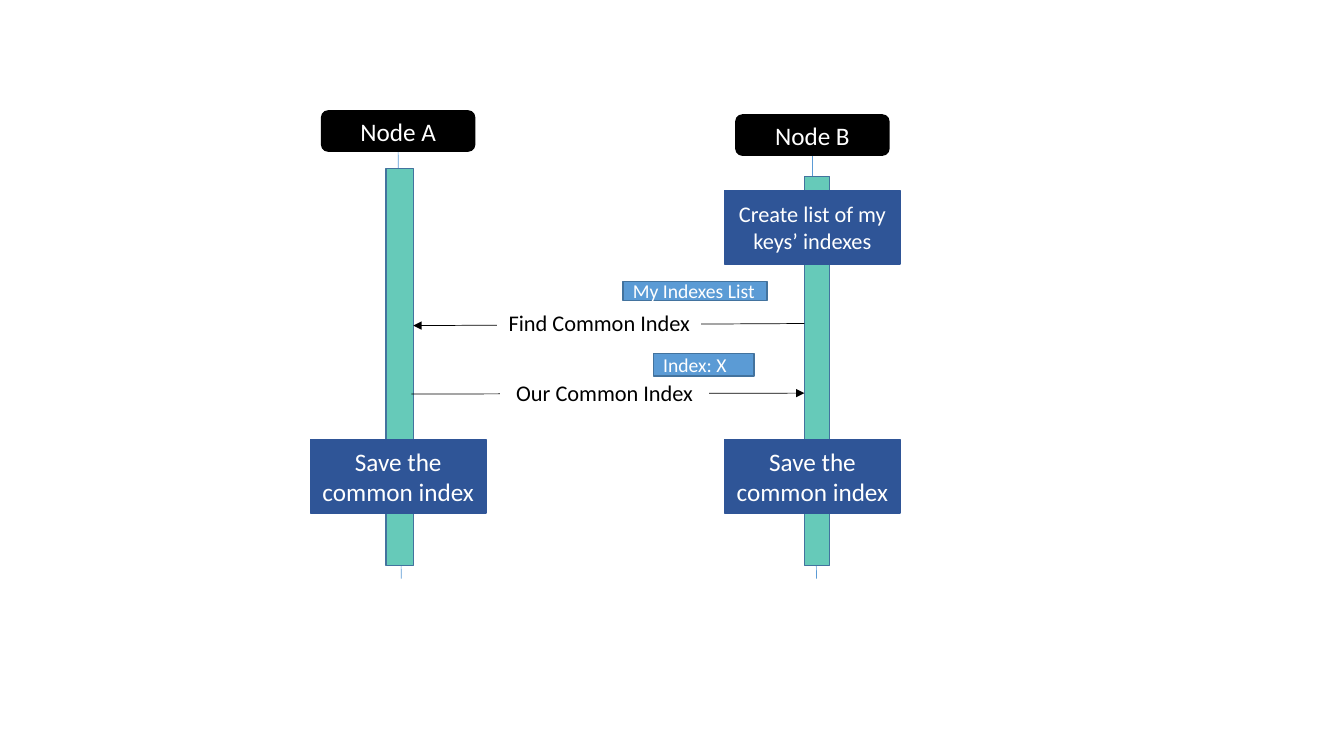
from lxml import etree
from pptx import Presentation
from pptx import util as u
from pptx.dml import color
from pptx.enum import shapes, text
from pptx.oxml import ns

THEME = {
    "font": "Calibri",
    "white": "FFFFFF", "black": "000000",
    "bar": "66CAB9", "edge": "43739E", "chip": "5B9BD5", "step": "2F5597",
    "large": 18, "medium": 16, "small": 14,
    "thin": 0.5, "outline": 1,
}

# Boxes are left, top, width, height; lines are x1, y1, x2, y2 (points).
NODES = [
    {"name": "Node A", "header": (229.7, 79.2), "bar": (275.8, 120.2, 19.4),
     "lifeline_end": 286.6},
    {"name": "Node B", "header": (525.6, 82.1), "bar": (574.6, 126, 18),
     "lifeline_end": 583.2},
]
MESSAGES = [
    {"label": "Find Common Index", "box": (355.7, 220.3, 144.7, 20.2),
     "arrow": (574.6, 231.1, 295.2, 232.6),
     "chip": "My Indexes List", "chip_box": (445, 200.9, 103, 13.7)},
    {"label": "Our Common Index", "box": (357.8, 270.7, 148.3, 19.4),
     "arrow": (293.8, 281.5, 574.6, 280.8),
     "chip": "Index: X", "chip_box": (466.6, 252.7, 72, 15.8)},
]
STEPS = [
    ("Save the common index", 221.8, 313.9, "large"),
    ("Save the common index", 517.7, 313.9, "large"),
    ("Create list of my keys\u2019 indexes", 517.7, 136.1, "medium"),
]
HEADER_SIZE = (109.4, 28.8)
STEP_SIZE = (125.3, 52.6)
BAR_BOTTOM, LIFELINE_BOTTOM = 403.9, 413.3


def rgb(name):
    """Return a theme colour."""
    return color.RGBColor.from_string(THEME[name])


def add_box(page, bounds, fill, edge, label="", size="large", ink="white",
            align=text.PP_ALIGN.CENTER, kind=shapes.MSO_SHAPE.RECTANGLE):
    """Add a filled box with an optional label."""
    box = page.shapes.add_shape(kind, *map(u.Pt, bounds))
    box.shadow.inherit = False
    box.fill.solid()
    box.fill.fore_color.rgb = rgb(fill)
    box.line.color.rgb = rgb(edge)
    box.line.width = u.Pt(THEME["outline"])
    if label:
        frame = box.text_frame
        frame.text = label
        frame.word_wrap = True
        frame.vertical_anchor = text.MSO_ANCHOR.MIDDLE
        para = frame.paragraphs[0]
        para.alignment = align
        font = para.runs[0].font
        font.name = THEME["font"]
        font.size = u.Pt(THEME[size])
        font.color.rgb = rgb(ink)


def add_line(page, ends, ink, arrow=False):
    """Add a thin straight line, with an arrowhead at its end if asked."""
    line = page.shapes.add_connector(shapes.MSO_CONNECTOR.STRAIGHT,
                                     *map(u.Pt, ends))
    line.line.color.rgb = rgb(ink)
    line.line.width = u.Pt(THEME["thin"])
    if arrow:
        etree.SubElement(line.line._get_or_add_ln(), ns.qn("a:tailEnd"),
                         type="triangle")
    etree.SubElement(line._element.spPr, ns.qn("a:effectLst"))


def add_node(page, node):
    """Add a node's lifeline, activation bar and header."""
    left, top = node["header"]
    width, height = HEADER_SIZE
    add_line(page, (left + width / 2, top + height,
                    node["lifeline_end"], LIFELINE_BOTTOM), "chip")
    bar_left, bar_top, bar_width = node["bar"]
    add_box(page, (bar_left, bar_top, bar_width, BAR_BOTTOM - bar_top),
            "bar", "edge")
    add_box(page, (left, top, width, height), "black", "black", node["name"],
            kind=shapes.MSO_SHAPE.ROUNDED_RECTANGLE)


def add_message(page, message):
    """Add a message arrow, its label and its payload chip."""
    add_box(page, message["chip_box"], "chip", "edge", message["chip"],
            "small", align=text.PP_ALIGN.LEFT)
    add_line(page, message["arrow"], "black", arrow=True)
    add_box(page, message["box"], "white", "white", message["label"],
            "medium", "black")


deck = Presentation()
deck.slide_width, deck.slide_height = u.Pt(960), u.Pt(540)
page = deck.slides.add_slide(deck.slide_layouts[6])
for node in NODES:
    add_node(page, node)
for message in MESSAGES:
    add_message(page, message)
for label, left, top, size in STEPS:
    add_box(page, (left, top, *STEP_SIZE), "step", "step", label, size)
deck.save("out.pptx")
